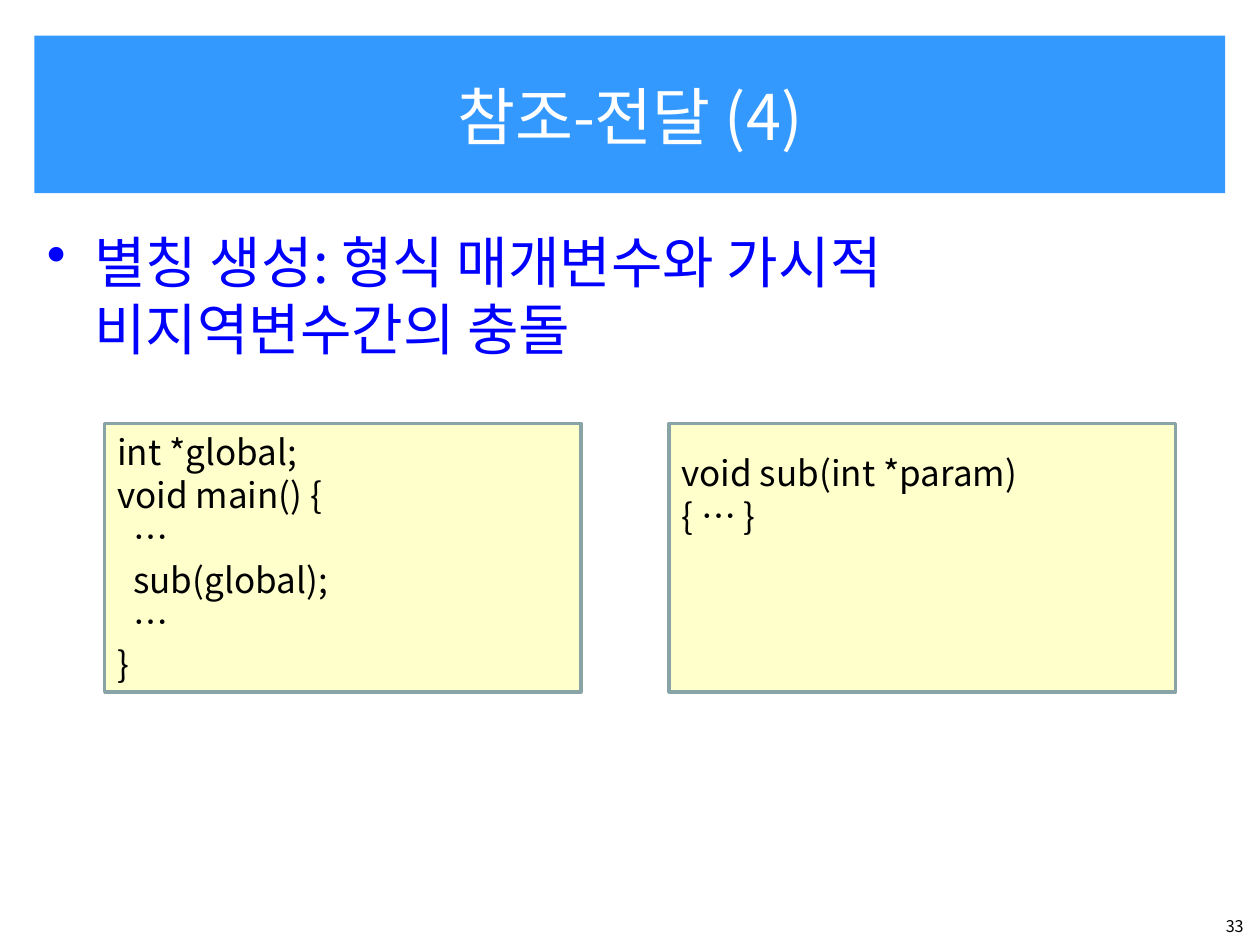
from dataclasses import dataclass
from typing import Optional

from lxml import etree
from pptx import Presentation
from pptx import util as u
from pptx.dml.color import RGBColor
from pptx.enum import shapes, text
from pptx.oxml import ns

FONT = "Noto Sans CJK KR"
HUES = {"band": "3399FF", "white": "FFFFFF", "blue": "0000FF",
        "cream": "FFFFCC", "edge": "89A4A7", "black": "000000"}
LEADING = 1.21
STEP = 9.3


@dataclass
class Line:
    words: str
    level: int = 0


@dataclass
class Panel:
    left: float
    top: float
    width: float
    height: float
    lines: list[Line]
    size: float
    hue: str
    fill: Optional[str] = None
    edge: Optional[str] = None
    align: text.PP_ALIGN = text.PP_ALIGN.LEFT
    anchor: text.MSO_ANCHOR = text.MSO_ANCHOR.TOP
    inset: float = 3.6
    bullet: bool = False


def tone(name: str) -> RGBColor:
    """Return a named colour."""
    return RGBColor.from_string(HUES[name])


def write(para, line: Line, panel: Panel) -> None:
    """Write one formatted paragraph."""
    para.alignment = panel.align
    para.line_spacing = u.Pt(round(panel.size * LEADING, 1))
    run = para.add_run()
    run.text = line.words
    for key, value in {"size": u.Pt(panel.size), "name": FONT}.items():
        setattr(run.font, key, value)
    run.font.color.rgb = tone(panel.hue)
    east = etree.SubElement(run.font._element, ns.qn("a:ea"))
    east.set("typeface", FONT)
    props = para._p.get_or_add_pPr()
    if panel.bullet:
        props.set("marL", str(u.Pt(27)))
        props.set("indent", str(u.Pt(-27)))
        mark = etree.SubElement(props, ns.qn("a:buChar"))
        mark.set("char", "•")
    elif line.level:
        props.set("marL", str(u.Pt(STEP * line.level)))


def draw(slide, panel: Panel) -> None:
    """Draw a panel with its text."""
    spot = [u.Pt(n) for n in (panel.left, panel.top, panel.width, panel.height)]
    if panel.fill:
        shape = slide.shapes.add_shape(shapes.MSO_SHAPE.RECTANGLE, *spot)
        shape.shadow.inherit = False
        shape.fill.solid()
        shape.fill.fore_color.rgb = tone(panel.fill)
        if panel.edge:
            shape.line.color.rgb = tone(panel.edge)
            shape.line.width = u.Pt(2)
        else:
            shape.line.fill.background()
    else:
        shape = slide.shapes.add_textbox(*spot)
    frame = shape.text_frame
    form = {"word_wrap": True, "vertical_anchor": panel.anchor,
            "margin_left": u.Pt(7.2), "margin_right": u.Pt(7.2),
            "margin_top": u.Pt(panel.inset), "margin_bottom": u.Pt(3.6)}
    for key, value in form.items():
        setattr(frame, key, value)
    for spot, line in enumerate(panel.lines):
        para = frame.add_paragraph() if spot else frame.paragraphs[0]
        write(para, line, panel)


def main() -> None:
    """Build and save the slide."""
    deck = Presentation()
    deck.slide_width, deck.slide_height = u.Pt(720), u.Pt(540)
    slide = deck.slides.add_slide(deck.slide_layouts[6])
    code = {"top": 242, "height": 153.4, "size": 20, "hue": "black",
            "fill": "cream", "edge": "edge"}
    wide = {"left": 19.7, "width": 680.4}
    caller = [Line("int *global;"), Line("void main() {"), Line("…", 1),
              Line("sub(global);", 1), Line("…", 1), Line("}")]
    callee = [Line("void sub(int *param)"), Line("{ … }")]
    middle = text.MSO_ANCHOR.MIDDLE
    panels = [
        Panel(**wide, top=20.4, height=90, lines=[Line("참조-전달 (4)")], size=36,
              hue="white", fill="band", align=text.PP_ALIGN.CENTER, anchor=middle),
        Panel(**wide, top=126, height=399,
              lines=[Line("별칭 생성: 형식 매개변수와 가시적 비지역변수간의 충돌")],
              size=32, hue="blue", bullet=True),
        Panel(669.6, 519.8, 48.2, 20.2, [Line("33")], 9.2, "black",
              align=text.PP_ALIGN.RIGHT),
        Panel(left=59.8, width=272.2, lines=caller, anchor=middle, **code),
        Panel(left=382.3, width=289.4, lines=callee, inset=16, **code),
    ]
    for panel in panels:
        draw(slide, panel)
    deck.save("out.pptx")


if __name__ == "__main__":
    main()
